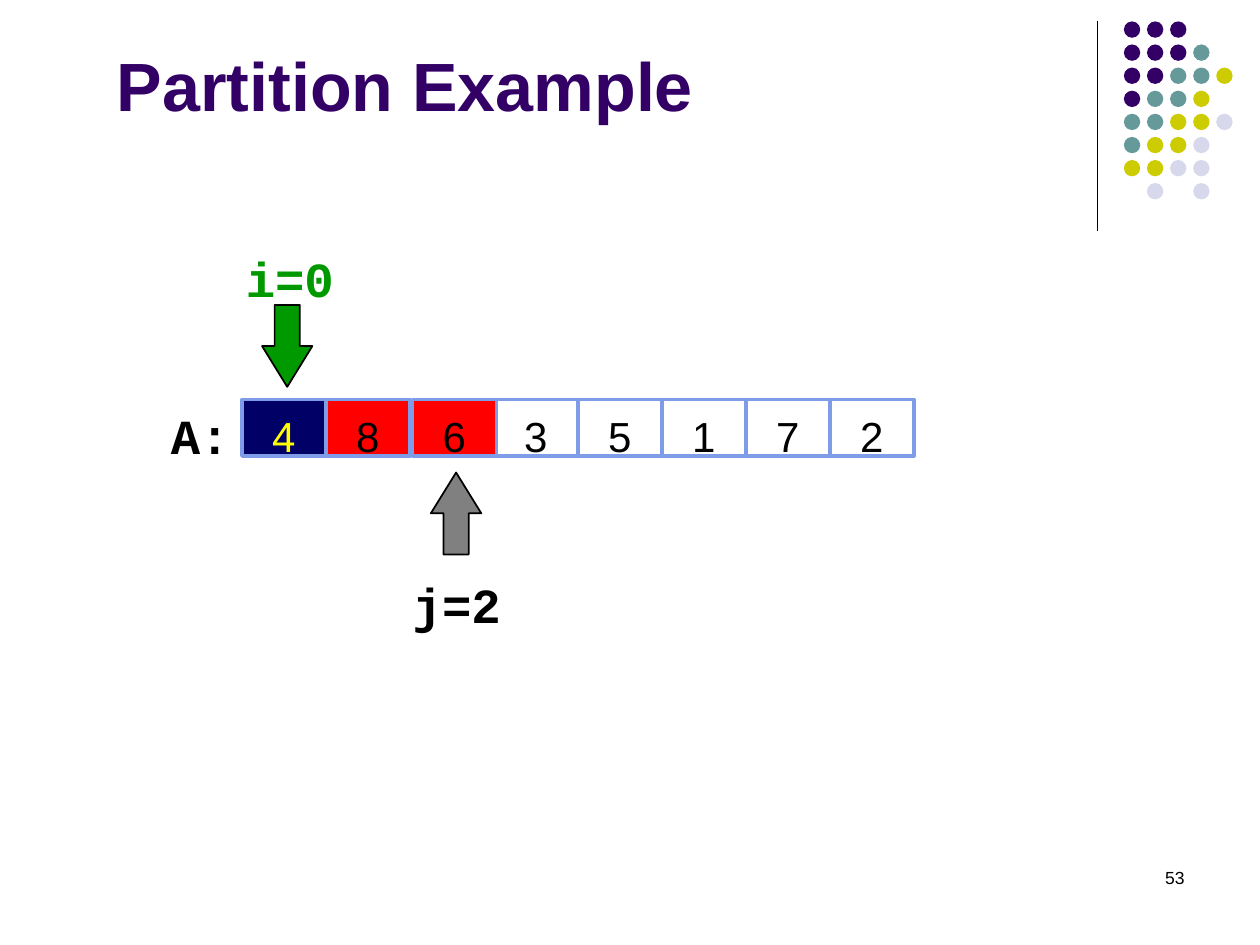
from lxml import etree
from pptx import Presentation
from pptx.dml.color import RGBColor
from pptx.enum.shapes import MSO_CONNECTOR as Connector, MSO_SHAPE as Shape
from pptx.enum.text import MSO_ANCHOR as Anchor, PP_ALIGN as Align
from pptx.oxml.ns import qn
from pptx.util import Inches, Pt

COLORS = {
    "purple": "330066", "teal": "669999", "olive": "CCCC00", "lavender": "D8D8EC",
    "navy": "000066", "red": "FF0000", "white": "FFFFFF", "yellow": "FFFF00",
    "green": "009900", "gray": "808080", "border": "7E9CE8", "black": "000000",
}
DOT_COLORS = {"P": "purple", "T": "teal", "O": "olive", "L": "lavender"}
DOT_ROWS = ["PPP", "PPPT", "PPTTO", "PTTO", "TTOOL", "TOOL", "OOLL", " L L"]
VALUES = [4, 8, 6, 3, 5, 1, 7, 2]
CELL_WIDTH = 2 / 3


def rgb(name):
    return RGBColor.from_string(COLORS[name])


def write(shape, text, size, color="black", font="Arial", bold=False,
          align=Align.CENTER, anchor=Anchor.TOP, inset=0.05):
    frame = shape.text_frame
    frame.word_wrap = True
    frame.vertical_anchor = anchor
    frame.margin_top = Inches(inset)
    paragraph = frame.paragraphs[0]
    paragraph.text = text
    paragraph.alignment = align
    paragraph.font.size = Pt(size)
    paragraph.font.name = font
    paragraph.font.bold = bold
    paragraph.font.color.rgb = rgb(color)


def add_label(slide, left, top, width, height, text, size, **style):
    label = slide.shapes.add_textbox(
        Inches(left), Inches(top), Inches(width), Inches(height))
    write(label, text, size, **style)


def add_code_label(slide, left, top, width, text, **style):
    add_label(slide, left, top, width, 0.57, text, 28,
              font="Courier New", bold=True, inset=0.14, **style)


def add_filled(shapes, kind, left, top, width, height, fill, line=None, weight=1):
    shape = shapes.add_shape(
        kind, Inches(left), Inches(top), Inches(width), Inches(height))
    shape.shadow.inherit = False
    shape.fill.solid()
    shape.fill.fore_color.rgb = rgb(fill)
    if line:
        shape.line.color.rgb = rgb(line)
        shape.line.width = Pt(weight)
    else:
        shape.line.fill.background()
    return shape


def add_dot_ornament(slide, left, top):
    rule = slide.shapes.add_connector(
        Connector.STRAIGHT, Inches(left), Inches(top), Inches(left), Inches(top + 1.66))
    rule.line.color.rgb = rgb("black")
    rule.line.width = Pt(0.75)
    etree.SubElement(rule.element.spPr, qn("a:effectLst"))
    dots = slide.shapes.add_group_shape()
    pitch = 0.55 / 3
    for row, codes in enumerate(DOT_ROWS):
        for column, code in enumerate(codes):
            if code in DOT_COLORS:
                add_filled(dots.shapes, Shape.OVAL, left + 0.21 + column * pitch,
                           top + row * pitch, 0.13, 0.13, DOT_COLORS[code])


def add_array(slide, left, top, pivot, current):
    add_code_label(slide, 0, top - 0.09, left, "A:", align=Align.RIGHT)
    current_last = sorted(range(len(VALUES)), key=lambda index: index == current)
    for index in current_last:
        fill = "navy" if index == pivot else "red" if index <= current else "white"
        nudge = 0.02 if index == current else 0
        cell = add_filled(slide.shapes, Shape.RECTANGLE, left + index * CELL_WIDTH + nudge,
                          top, CELL_WIDTH, 0.45, fill, "border", 2)
        write(cell, str(VALUES[index]), 24,
              color="yellow" if index == pivot else "black", inset=0.09)


def add_pointer(slide, kind, left, top, fill):
    arrow = add_filled(slide.shapes, kind, left, top, 0.4, 0.65, fill, "black")
    arrow.adjustments[0] = 0.5
    arrow.adjustments[1] = 0.81


def build_slide(slide):
    add_dot_ornament(slide, 8.71, 0.17)
    add_label(slide, 0.83, 0.04, 8.5, 1.25, "Partition Example", 39, color="purple",
              bold=True, align=Align.LEFT, anchor=Anchor.MIDDLE)
    add_array(slide, 1.92, 3.17, pivot=0, current=2)
    add_pointer(slide, Shape.DOWN_ARROW, 2.08, 2.42, "green")
    add_code_label(slide, 1.79, 1.83, 1.02, "i=0", color="green")
    add_pointer(slide, Shape.UP_ARROW, 3.42, 3.75, "gray")
    add_code_label(slide, 2.25, 4.42, 2.75, "j=2")
    add_label(slide, 7.17, 6.83, 2.33, 0.5, "53", 10, align=Align.RIGHT)


def main():
    presentation = Presentation()
    presentation.slide_width = Inches(10)
    presentation.slide_height = Inches(7.5)
    build_slide(presentation.slides.add_slide(presentation.slide_layouts[6]))
    presentation.save("out.pptx")


if __name__ == "__main__":
    main()
